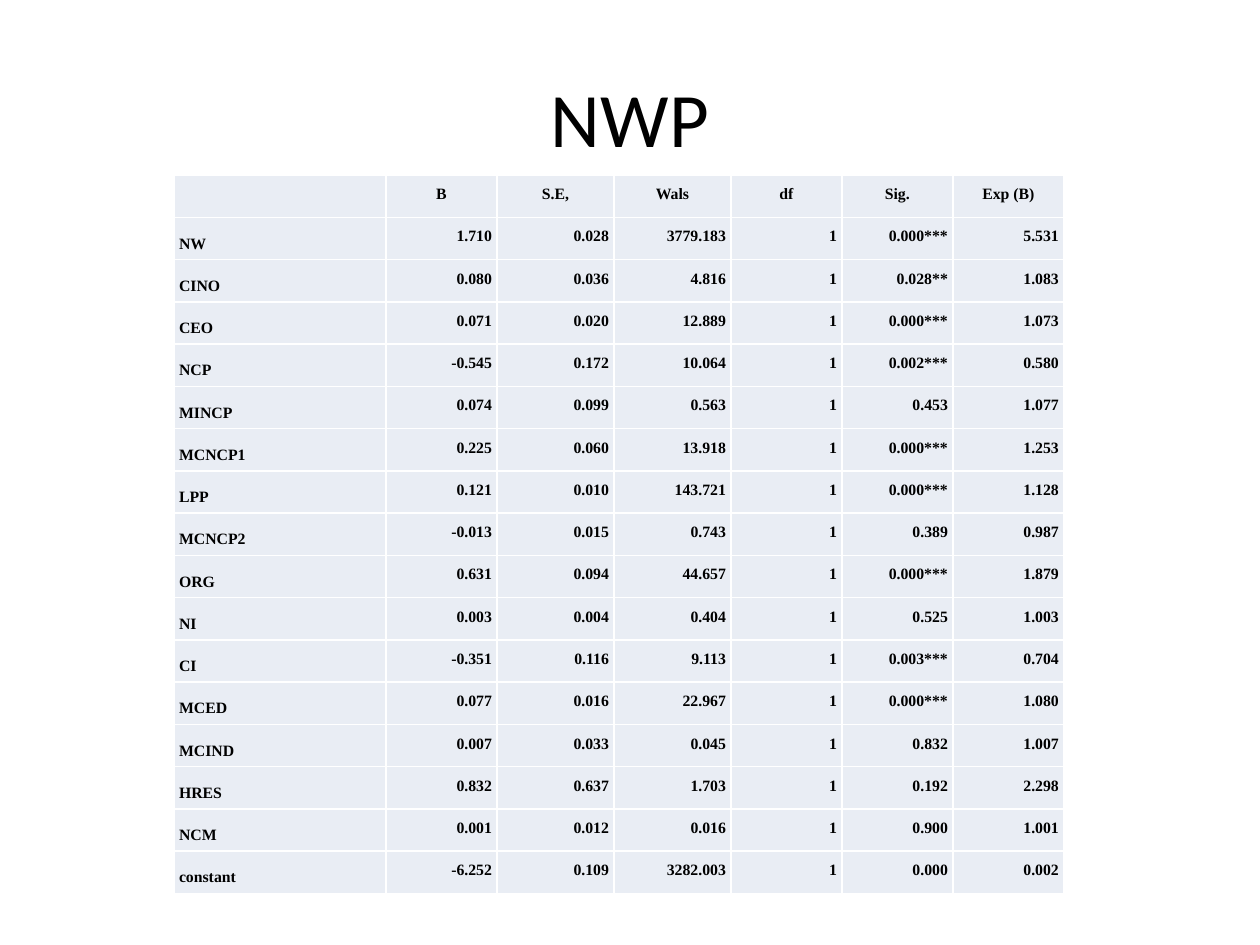
from lxml import etree
from pptx import Presentation
from pptx.dml.color import RGBColor
from pptx.enum import text
from pptx.oxml import ns
from pptx.util import Pt

PIXEL = 914400 // 126
TABLE_HEIGHT = 719
COLUMN_WIDTHS = [212, 111, 117, 117, 111, 111, 111]
INDENT = 5
ROWS = [
    ["", "B", "S.E,", "Wals", "df", "Sig.", "Exp (B)"],
    ["NW", "1.710", "0.028", "3779.183", "1", "0.000***", "5.531"],
    ["CINO", "0.080", "0.036", "4.816", "1", "0.028**", "1.083"],
    ["CEO", "0.071", "0.020", "12.889", "1", "0.000***", "1.073"],
    ["NCP", "-0.545", "0.172", "10.064", "1", "0.002***", "0.580"],
    ["MINCP", "0.074", "0.099", "0.563", "1", "0.453", "1.077"],
    ["MCNCP1", "0.225", "0.060", "13.918", "1", "0.000***", "1.253"],
    ["LPP", "0.121", "0.010", "143.721", "1", "0.000***", "1.128"],
    ["MCNCP2", "-0.013", "0.015", "0.743", "1", "0.389", "0.987"],
    ["ORG", "0.631", "0.094", "44.657", "1", "0.000***", "1.879"],
    ["NI", "0.003", "0.004", "0.404", "1", "0.525", "1.003"],
    ["CI", "-0.351", "0.116", "9.113", "1", "0.003***", "0.704"],
    ["MCED", "0.077", "0.016", "22.967", "1", "0.000***", "1.080"],
    ["MCIND", "0.007", "0.033", "0.045", "1", "0.832", "1.007"],
    ["HRES", "0.832", "0.637", "1.703", "1", "0.192", "2.298"],
    ["NCM", "0.001", "0.012", "0.016", "1", "0.900", "1.001"],
    ["constant", "-6.252", "0.109", "3282.003", "1", "0.000", "0.002"],
]


def add_run(paragraph, words, font_name, size, bold=False):
    """Add one black run to a paragraph."""
    run = paragraph.add_run()
    run.text = words
    run.font.name = font_name
    run.font.size = Pt(size)
    run.font.bold = bold
    run.font.color.rgb = RGBColor.from_string("000000")


def style_cell(cell, fill, border):
    """Give a cell a solid fill and a one-point border on every side."""
    properties = cell._tc.get_or_add_tcPr()
    for side in ("a:lnL", "a:lnR", "a:lnT", "a:lnB"):
        line = etree.SubElement(properties, ns.qn(side), w=str(Pt(1)))
        solid = etree.SubElement(line, ns.qn("a:solidFill"))
        etree.SubElement(solid, ns.qn("a:srgbClr"), val=border)
    cell.fill.solid()
    cell.fill.fore_color.rgb = RGBColor.from_string(fill)


presentation = Presentation()
presentation.slide_width = 1260 * PIXEL
presentation.slide_height = 945 * PIXEL
slide = presentation.slides.add_slide(presentation.slide_layouts[6])

title = slide.shapes.add_textbox(63 * PIXEL, 38 * PIXEL, 1134 * PIXEL, 157 * PIXEL)
title.text_frame.word_wrap = True
title.text_frame.vertical_anchor = text.MSO_ANCHOR.MIDDLE
title_paragraph = title.text_frame.paragraphs[0]
title_paragraph.alignment = text.PP_ALIGN.CENTER
add_run(title_paragraph, "NWP", "Calibri", 44)

table = slide.shapes.add_table(
    len(ROWS), len(COLUMN_WIDTHS), 174 * PIXEL, 175 * PIXEL,
    sum(COLUMN_WIDTHS) * PIXEL, TABLE_HEIGHT * PIXEL,
).table
table.first_row = False
table.horz_banding = False
for column, width in zip(table.columns, COLUMN_WIDTHS):
    column.width = width * PIXEL

for row_index, row in enumerate(ROWS):
    for column_index, words in enumerate(row):
        cell = table.cell(row_index, column_index)
        style_cell(cell, "E9EDF4", "FFFFFF")
        cell.margin_left = cell.margin_right = 0
        cell.margin_top = cell.margin_bottom = 0
        if not words:
            continue
        paragraph = cell.text_frame.paragraphs[0]
        paragraph.line_spacing = Pt(16)
        for margin in ("marL", "marR"):
            paragraph._p.get_or_add_pPr().set(margin, str(INDENT * PIXEL))
        if row_index == 0:
            paragraph.alignment = text.PP_ALIGN.CENTER
        elif column_index == 0:
            paragraph.alignment = text.PP_ALIGN.LEFT
            cell.vertical_anchor = text.MSO_ANCHOR.MIDDLE
        else:
            paragraph.alignment = text.PP_ALIGN.RIGHT
        add_run(paragraph, words, "Times New Roman", 9, bold=True)

presentation.save("out.pptx")
